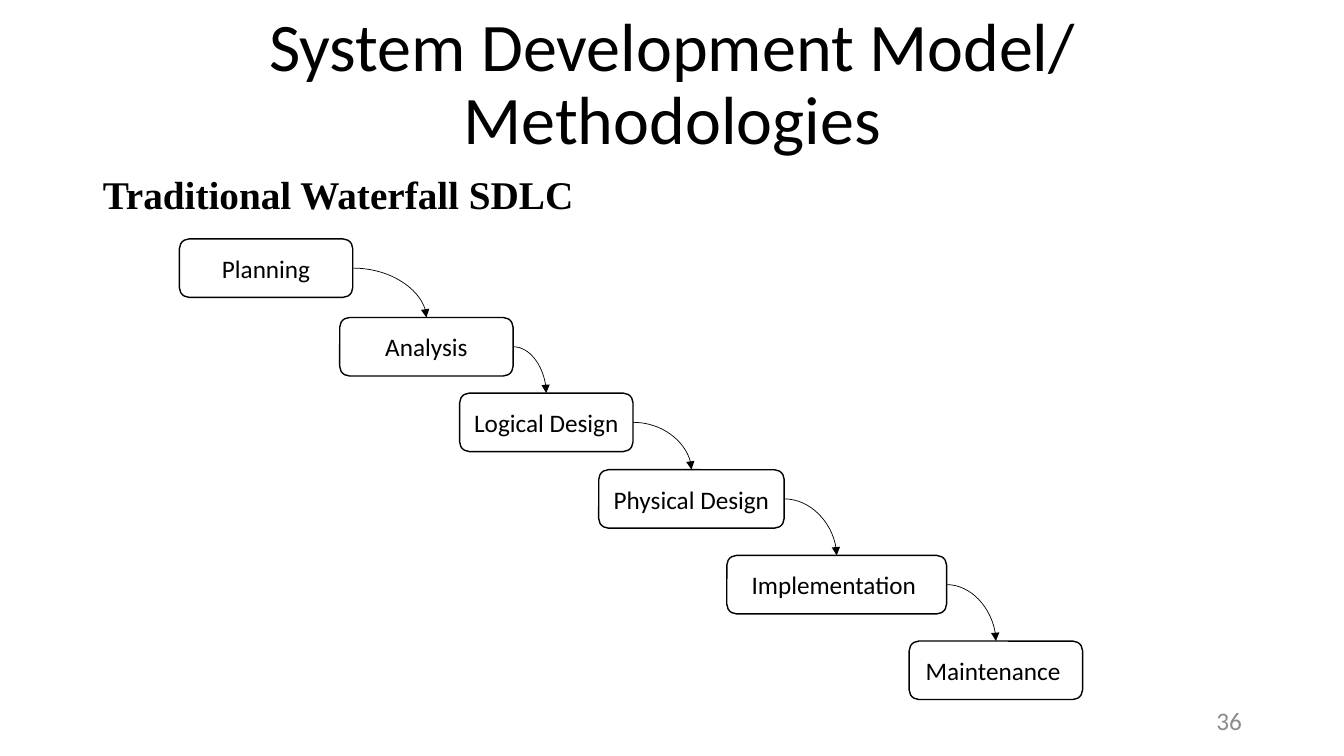
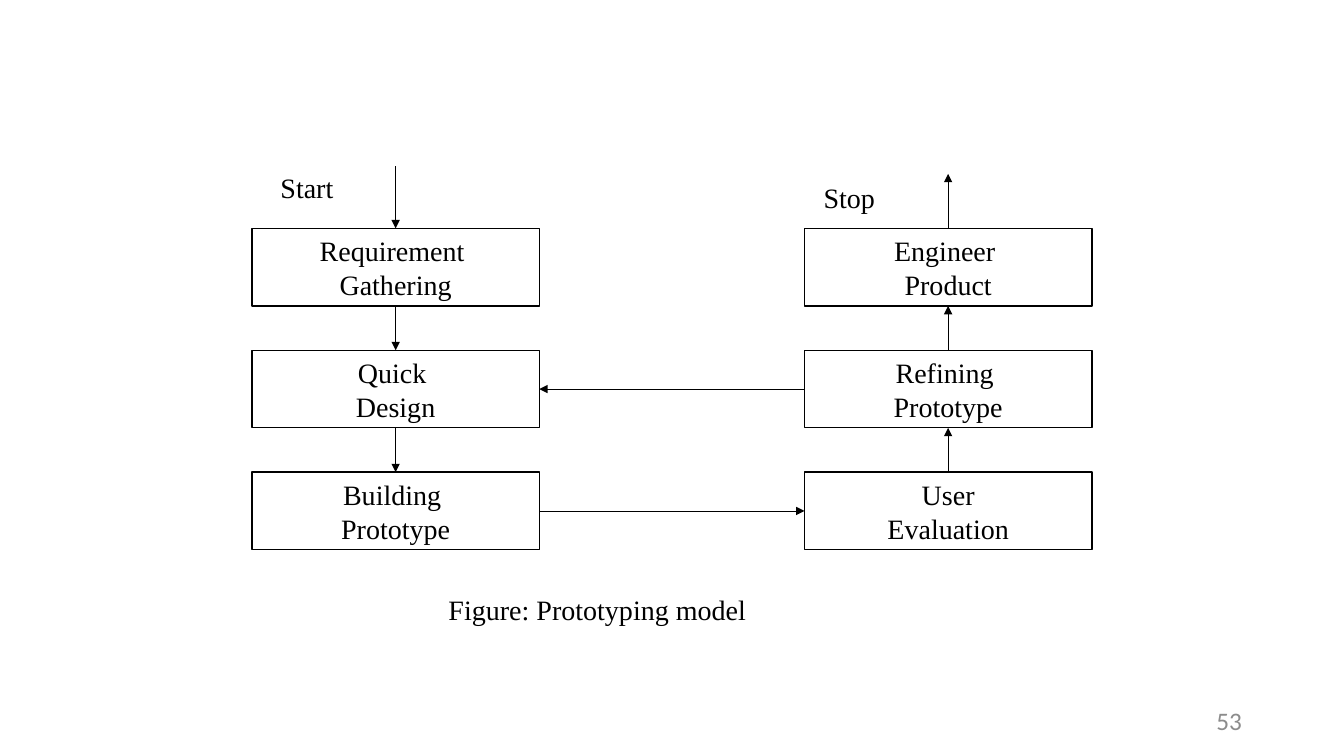
from itertools import pairwise

from lxml import etree
from pptx import Presentation
from pptx.dml.color import RGBColor
from pptx.enum.shapes import MSO_CONNECTOR, MSO_SHAPE
from pptx.enum.text import MSO_ANCHOR, MSO_AUTO_SIZE, PP_ALIGN
from pptx.oxml.ns import qn
from pptx.util import Inches, Pt

STRAIGHT, CURVE = MSO_CONNECTOR.STRAIGHT, MSO_CONNECTOR.CURVE
RECTANGLE, ROUNDED = MSO_SHAPE.RECTANGLE, MSO_SHAPE.ROUNDED_RECTANGLE
ANCHOR_TOP, ANCHOR_MIDDLE = MSO_ANCHOR.TOP, MSO_ANCHOR.MIDDLE
FIXED_SIZE = MSO_AUTO_SIZE.NONE
LEFT, CENTER = PP_ALIGN.LEFT, PP_ALIGN.CENTER
RIGHT, JUSTIFY = PP_ALIGN.RIGHT, PP_ALIGN.JUSTIFY
TOP_SIDE, LEFT_SIDE, BOTTOM_SIDE, RIGHT_SIDE = range(4)

WIDTH, HEIGHT = Inches(13.33), Inches(7.5)
BLACK, WHITE, GREY = "000000", "FFFFFF", "8C8C8C"
SANS, SERIF = "Calibri", "Times New Roman"

TITLE_AREA = (6.9, 1.73, 86.25, 19.33)
BODY_AREA = (6.9, 22.53, 86.25, 68.27)
NUMBER_AREA = (70.65, 92.67, 22.5, 5.33)

STAGE_HEIGHT = 7.73
STAGES = [
    ("Planning", 13.35, 31.6, 12.9),
    ("Analysis", 25.28, 42, 12.9),
    ("Logical Design", 34.2, 52, 12.9),
    ("Physical Design", 44.55, 62.13, 13.8),
    ("Implementation ", 54.08, 73.47, 16.35),
    ("Maintenance ", 67.65, 84.8, 12.9),
]

GRID_LEFT, GRID_TOP = 18.75, 30.2
COLUMN_STEP, ROW_STEP = 41.11, 16.13
CELL_WIDTH, CELL_HEIGHT = 21.38, 10.27
STEPS = [
    [("Requirement ", "Gathering"), ("Quick ", "Design"), ("Building ", "Prototype")],
    [("Engineer ", "Product"), ("Refining ", "Prototype"), ("User", "Evaluation")],
]


def color(code):
    """Return the colour for a hex string."""
    return RGBColor.from_string(code)


def area(left, top, width, height):
    """Turn percentages of the slide into left, top, width and height."""
    return [int(share * full / 100) for share, full in
            ((left, WIDTH), (top, HEIGHT), (width, WIDTH), (height, HEIGHT))]


def move(box, place):
    """Put a shape at a place given in percentages."""
    box.left, box.top, box.width, box.height = area(*place)


def write(box, lines, size, font=SANS, align=CENTER, anchor=ANCHOR_MIDDLE,
          code=BLACK, bold=False):
    """Fill a shape with one formatted paragraph per line and return them."""
    frame = box.text_frame
    frame.word_wrap = True
    frame.auto_size = FIXED_SIZE
    frame.vertical_anchor = anchor
    paras = [frame.paragraphs[0]] + [frame.add_paragraph() for _ in lines[1:]]
    for para, line in zip(paras, lines):
        para.alignment = align
        span = para.add_run()
        span.text = line
        span.font.name, span.font.size, span.font.bold = font, Pt(size), bold
        span.font.color.rgb = color(code)
    return paras


def add_label(page, place, text, size=20, font=SERIF, align=CENTER,
              anchor=ANCHOR_TOP, code=BLACK):
    """Add a text box with a single line."""
    box = page.shapes.add_textbox(*area(*place))
    write(box, [text], size, font, align, anchor, code)


def add_page(deck, layout, number):
    """Add a slide with its page number."""
    page = deck.slides.add_slide(deck.slide_layouts[layout])
    add_label(page, NUMBER_AREA, number, 18, SANS, RIGHT, ANCHOR_MIDDLE, GREY)
    return page


def add_heading(page, title, subtitle):
    """Fill the title and body placeholders."""
    heading, body = page.shapes.title, page.placeholders[1]
    move(heading, TITLE_AREA)
    move(body, BODY_AREA)
    write(heading, [title], 48.6)[0].line_spacing = 0.9
    para = write(body, [subtitle], 28, SERIF, JUSTIFY, ANCHOR_TOP, bold=True)[0]
    para.line_spacing = 0.9
    para.space_before, para.space_after = Pt(10), Pt(12)
    settings = para._p.get_or_add_pPr()
    settings.set("marL", "0")
    settings.set("indent", "0")
    etree.SubElement(settings, qn("a:buNone"))


def add_box(page, kind, place, lines, size, font):
    """Add an outlined white box with centred text."""
    box = page.shapes.add_shape(kind, *area(*place))
    box.shadow.inherit = False
    box.fill.solid()
    box.fill.fore_color.rgb = color(WHITE)
    box.line.color.rgb = color(BLACK)
    box.line.width = Pt(1)
    write(box, lines, size, font)
    return box


def add_arrow(page, kind, start=(0, 0), end=(0, 0)):
    """Add a thin connector with an arrowhead at its end."""
    arrow = page.shapes.add_connector(kind, *start, *end)
    arrow.line.color.rgb = color(BLACK)
    arrow.line.width = Pt(0.5)
    properties = arrow.element.spPr
    etree.SubElement(properties.find(qn("a:ln")), qn("a:tailEnd"), type="triangle")
    etree.SubElement(properties, qn("a:effectLst"))
    return arrow


def join(page, first, first_side, second, second_side, kind=STRAIGHT):
    """Connect the sides of two boxes with an arrow."""
    arrow = add_arrow(page, kind)
    arrow.begin_connect(first, first_side)
    arrow.end_connect(second, second_side)
    return arrow


def add_waterfall(page):
    """Draw the stages joined by quarter curves."""
    boxes = [add_box(page, ROUNDED, (left, top, width, STAGE_HEIGHT), [name], 18, SANS)
             for name, left, top, width in STAGES]
    for first, second in pairwise(boxes):
        arrow = join(page, first, RIGHT_SIDE, second, TOP_SIDE, CURVE)
        arrow.element.spPr.find(qn("a:prstGeom")).set("prst", "curvedConnector2")


def add_prototyping(page):
    """Draw the two columns of steps, their arrows and labels."""
    down, up = [
        [add_box(page, RECTANGLE,
                 (GRID_LEFT + column * COLUMN_STEP, GRID_TOP + row * ROW_STEP,
                  CELL_WIDTH, CELL_HEIGHT), lines, 20, SERIF)
         for row, lines in enumerate(steps)]
        for column, steps in enumerate(STEPS)
    ]
    for first, second in pairwise(down):
        join(page, first, BOTTOM_SIDE, second, TOP_SIDE)
    for second, first in pairwise(up):
        join(page, first, TOP_SIDE, second, BOTTOM_SIDE)
    join(page, down[2], RIGHT_SIDE, up[2], LEFT_SIDE)
    join(page, up[1], LEFT_SIDE, down[1], RIGHT_SIDE)

    entry_x, exit_x = (box.left + box.width // 2 for box in (down[0], up[0]))
    entry = add_arrow(page, STRAIGHT, (entry_x, int(HEIGHT * 0.22)), (entry_x, down[0].top))
    entry.end_connect(down[0], TOP_SIDE)
    leave = add_arrow(page, STRAIGHT, (exit_x, up[0].top), (exit_x, int(HEIGHT * 0.23)))
    leave.begin_connect(up[0], TOP_SIDE)

    add_label(page, (GRID_LEFT, 21.87, 8.18, 5.6), "Start")
    add_label(page, (59.1, 23.2, 8.18, 5.6), "Stop")
    add_label(page, (32.63, 77.73, 39.45, 5.87), "Figure: Prototyping model", align=LEFT)


def main():
    """Build and save the deck."""
    deck = Presentation()
    deck.slide_width, deck.slide_height = WIDTH, HEIGHT
    page = add_page(deck, 1, "36")
    add_heading(page, "System Development Model/ Methodologies",
                "Traditional Waterfall SDLC")
    add_waterfall(page)
    add_prototyping(add_page(deck, 6, "53"))
    deck.save("out.pptx")


if __name__ == "__main__":
    main()
